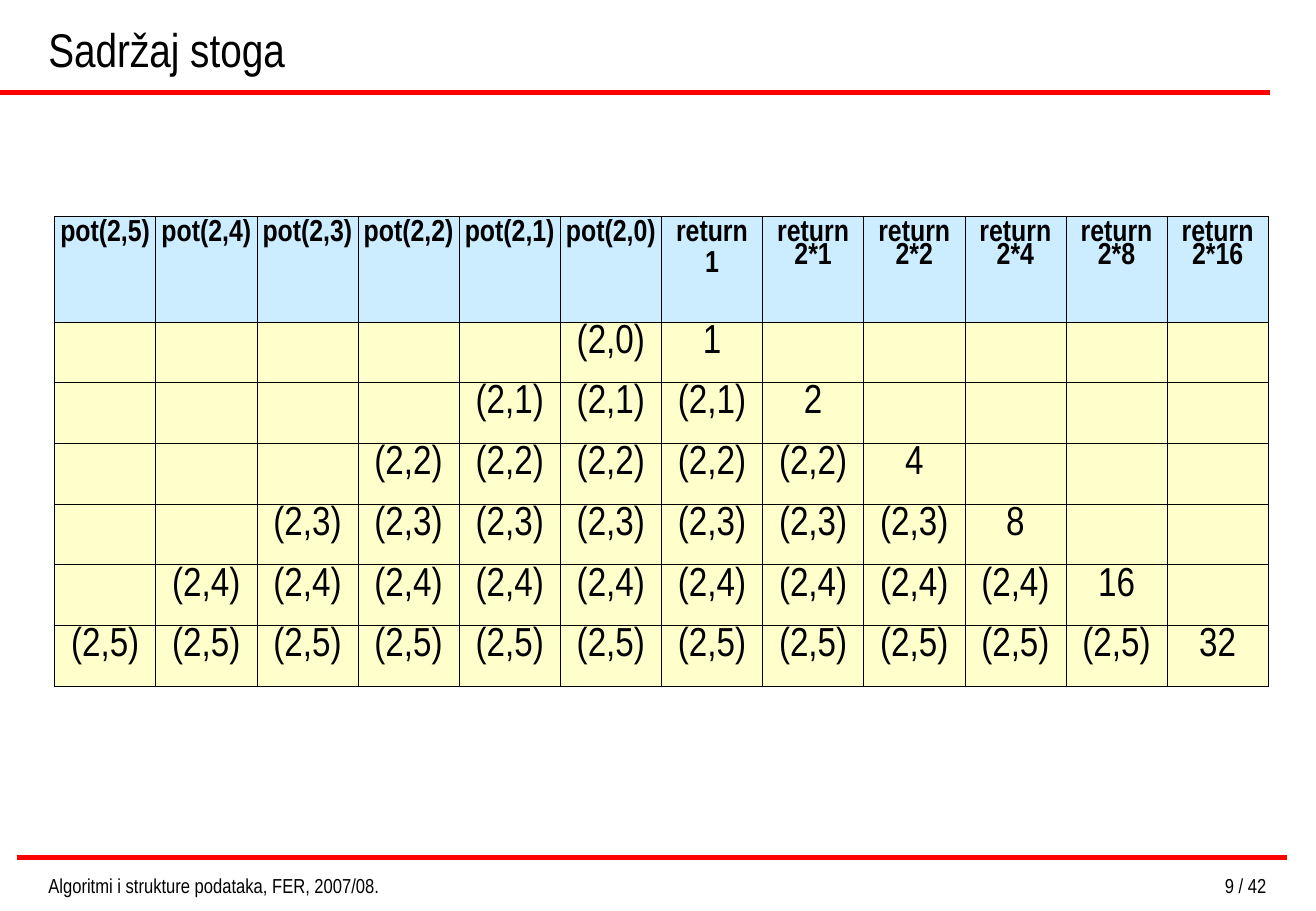
from lxml import etree
from pptx import Presentation
from pptx.dml.color import RGBColor
from pptx.enum.shapes import MSO_CONNECTOR
from pptx.enum.text import MSO_ANCHOR, PP_ALIGN
from pptx.oxml.ns import qn
from pptx.util import Pt

LINE = MSO_CONNECTOR.STRAIGHT
TOP, BASE = MSO_ANCHOR.TOP, MSO_ANCHOR.BOTTOM
LEFT, MID, RIGHT = PP_ALIGN.LEFT, PP_ALIGN.CENTER, PP_ALIGN.RIGHT
FONT = "Arial Narrow"
BLACK, RED, BLUE, CREAM = "000000", "FF0000", "CCECFF", "FFFFCC"

TITLE = "Sadržaj stoga"
FOOT = "Algoritmi i strukture podataka, FER, 2007/08."
PAGE = "9 / 42"
DEPTH = 6
CALLS = [f"pot(2,{n})" for n in reversed(range(DEPTH))]
BACKS = ["return\n1"] + [f"return 2*{2 ** n}" for n in range(DEPTH - 1)]
HEAD = [CALLS + BACKS]
COLS = len(HEAD[0])
STACK = [
    [""] * (DEPTH - 1 - n) + [f"(2,{n})"] * (2 * n + 1)
    + [str(2 ** n)] + [""] * (DEPTH - 1 - n)
    for n in range(DEPTH)
]
RULES = [(0, 54.72, 753.12), (10.08, 508.32, 763.2)]
GRID_X, GRID_Y, COL_W = 32.4, 128.16, 60
HEAD_H, ROW_H = 62.64, 36


def color(code):
    return RGBColor.from_string(code)


def write(frame, text, size=12, bold=False, align=LEFT, gap=0, pitch=1.0):
    for i, line in enumerate(text.split("\n")):
        para = frame.paragraphs[0] if i == 0 else frame.add_paragraph()
        para.alignment = align
        para.line_spacing = pitch
        if i:
            para.space_before = Pt(gap)
        run = para.add_run()
        run.text = line
        run.font.name = FONT
        run.font.size = Pt(size)
        run.font.bold = bold
        run.font.color.rgb = color(BLACK)


def label(text, x, y, w, h, anchor=TOP, **form):
    frame = slide.shapes.add_textbox(Pt(x), Pt(y), Pt(w), Pt(h)).text_frame
    frame.word_wrap = True
    frame.vertical_anchor = anchor
    write(frame, text, **form)


def rule(x, y, end):
    line = slide.shapes.add_connector(LINE, Pt(x), Pt(y), Pt(end), Pt(y))
    line.line.color.rgb = color(RED)
    line.line.width = Pt(3)
    etree.SubElement(line._element.spPr, qn("a:effectLst"))


def border(cell):
    props = cell._tc.get_or_add_tcPr()
    for side in ("lnL", "lnR", "lnT", "lnB"):
        edge = etree.SubElement(props, qn(f"a:{side}"), w=str(Pt(0.45)))
        fill = etree.SubElement(edge, qn("a:solidFill"))
        etree.SubElement(fill, qn("a:srgbClr"), val=BLACK)


def grid(rows, y, h, fill, pad, **form):
    table = slide.shapes.add_table(
        len(rows), COLS, Pt(GRID_X), Pt(y), Pt(COL_W * COLS), Pt(h * len(rows))
    ).table
    table.first_row = table.horz_banding = False
    for col in table.columns:
        col.width = Pt(COL_W)
    for r, row in enumerate(rows):
        table.rows[r].height = Pt(h)
        for c, text in enumerate(row):
            cell = table.cell(r, c)
            border(cell)
            cell.fill.solid()
            cell.fill.fore_color.rgb = color(fill)
            cell.margin_left = cell.margin_right = Pt(pad)
            if text:
                write(cell.text_frame, text, align=MID, pitch=0.83, **form)


deck = Presentation()
deck.slide_width, deck.slide_height = Pt(780.48), Pt(540)
slide = deck.slides.add_slide(deck.slide_layouts[6])

for x, y, end in RULES:
    rule(x, y, end)
label(TITLE, 21.6, 0, 731.52, 48.96, anchor=BASE, size=28)
grid(HEAD, GRID_Y, HEAD_H, BLUE, 2.8, size=18, bold=True, gap=4.5)
grid(STACK, GRID_Y + HEAD_H, ROW_H, CREAM, 7.2, size=24)
label(FOOT, 21.6, 514.08, 272.16, 17.28)
label(PAGE, 558.72, 514.08, 199.44, 17.28, align=RIGHT)

deck.save("out.pptx")
